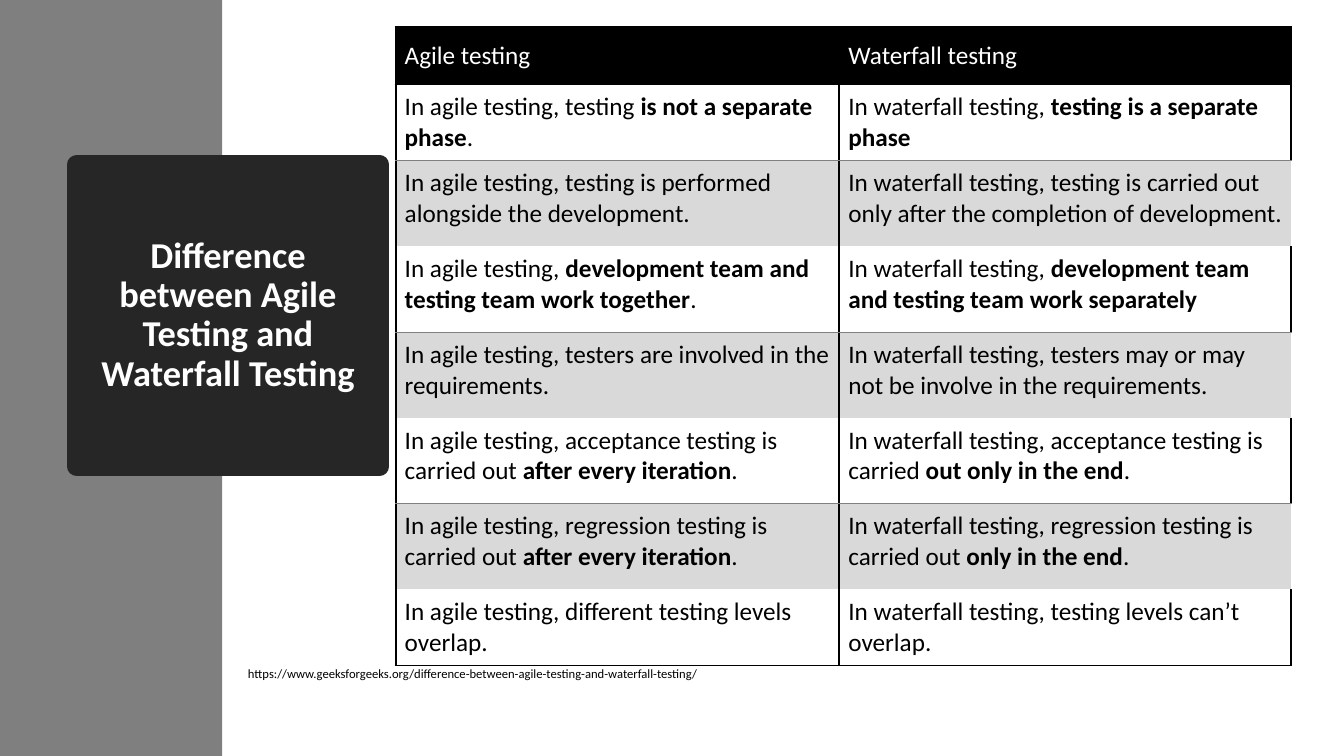
import lxml.etree
import pptx
import pptx.dml.color
import pptx.enum.shapes
import pptx.enum.text
import pptx.oxml.ns
import pptx.util

Cm = pptx.util.Cm
Pt = pptx.util.Pt
qn = pptx.oxml.ns.qn
PP_ALIGN = pptx.enum.text.PP_ALIGN
ANCHOR = pptx.enum.text.MSO_ANCHOR

HEADINGS = ("Agile testing", "Waterfall testing")
DIFFERENCES = [
    ("In agile testing, testing **is not a separate phase**.",
     "In waterfall testing, **testing is a separate phase**"),
    ("In agile testing, testing is performed alongside the development.",
     "In waterfall testing, testing is carried out only after the completion of development."),
    ("In agile testing, **development team and testing team work together**.",
     "In waterfall testing, **development team and testing team work separately**"),
    ("In agile testing, testers are involved in the requirements.",
     "In waterfall testing, testers may or may not be involve in the requirements."),
    ("In agile testing, acceptance testing is carried out **after every iteration**.",
     "In waterfall testing, acceptance testing is carried **out only in the end**."),
    ("In agile testing, regression testing is carried out **after every iteration**.",
     "In waterfall testing, regression testing is carried out **only in the end**."),
    ("In agile testing, different testing levels overlap.",
     "In waterfall testing, testing levels can’t overlap."),
]
COLUMN_WIDTHS = (11.18, 11.38)
ROW_HEIGHTS = (1.44, 1.92, 2.16, 2.16, 2.16, 2.16, 2.16, 1.92)


def colour(code):
    return pptx.dml.color.RGBColor.from_string(code)


class ComparisonSlide:
    font = "Calibri"
    black = "000000"
    white = "FFFFFF"
    grey = "7F7F7F"
    charcoal = "262626"
    band = "D9D9D9"
    rule = "808080"

    def __init__(self, presentation):
        self.slide = presentation.slides.add_slide(presentation.slide_layouts[6])

    def wording(self, paragraph, text, size, code, bold=False):
        for index, part in enumerate(text.split("**")):
            if part:
                run = paragraph.add_run()
                run.text = part
                run.font.name = self.font
                run.font.size = Pt(size)
                run.font.bold = bold or index % 2 == 1
                run.font.color.rgb = colour(code)

    def panel(self, left, top, width, height, fill, outline=0):
        shape = self.slide.shapes.add_shape(
            pptx.enum.shapes.MSO_SHAPE.RECTANGLE, Cm(left), Cm(top), Cm(width), Cm(height))
        shape.shadow.inherit = False
        shape.fill.solid()
        shape.fill.fore_color.rgb = colour(fill)
        if outline:
            shape.line.color.rgb = colour(fill)
            shape.line.width = Pt(outline)
            stroke = shape.element.spPr.find(qn("a:ln"))
            lxml.etree.SubElement(stroke, qn("a:round"))
        else:
            shape.line.fill.background()
        return shape

    def title(self, text, left, top, side):
        frame = self.panel(left, top, side, side, self.charcoal, 13.75).text_frame
        frame.word_wrap = True
        frame.vertical_anchor = ANCHOR.MIDDLE
        frame.margin_left = frame.margin_right = Cm(0.5)
        paragraph = frame.paragraphs[0]
        paragraph.alignment = PP_ALIGN.CENTER
        paragraph.line_spacing = 0.9
        self.wording(paragraph, text, 26, self.white, True)

    def source(self, text, left, top, width, height):
        frame = self.slide.shapes.add_textbox(Cm(left), Cm(top), Cm(width), Cm(height)).text_frame
        frame.word_wrap = True
        paragraph = frame.paragraphs[0]
        paragraph.line_spacing = 0.9
        paragraph.space_after = Pt(6)
        self.wording(paragraph, text, 9, self.black)

    def border(self, cell, side, style):
        line = lxml.etree.SubElement(cell._tc.get_or_add_tcPr(), qn(f"a:ln{side}"))
        if style is None:
            lxml.etree.SubElement(line, qn("a:noFill"))
            return
        code, width = style
        line.set("w", str(Pt(width)))
        fill = lxml.etree.SubElement(line, qn("a:solidFill"))
        lxml.etree.SubElement(fill, qn("a:srgbClr")).set("val", code)

    def cell(self, cell, text, row, column, last_row):
        header = row == 0
        banded = not header and row % 2 == 0
        strong, thin = (self.black, 1.5), (self.rule, 0.5)
        edges = {
            "L": strong,
            "R": None if banded and column == 1 else strong,
            "T": strong if row < 2 else thin if banded else None,
            "B": strong if row in (0, last_row) else None if banded else thin,
        }
        for side, style in edges.items():
            self.border(cell, side, style)
        cell.fill.solid()
        cell.fill.fore_color.rgb = colour(
            self.black if header else self.band if banded else self.white)
        cell.margin_left, cell.margin_right = Cm(0.23), Cm(0.15)
        cell.margin_top = cell.margin_bottom = Cm(0.18)
        cell.vertical_anchor = ANCHOR.MIDDLE if header else ANCHOR.TOP
        self.wording(cell.text_frame.paragraphs[0], text, 18,
                     self.white if header else self.black)

    def comparison(self, rows, left, top):
        table = self.slide.shapes.add_table(
            len(rows), len(COLUMN_WIDTHS), Cm(left), Cm(top),
            Cm(sum(COLUMN_WIDTHS)), Cm(sum(ROW_HEIGHTS))).table
        for column, width in zip(table.columns, COLUMN_WIDTHS):
            column.width = Cm(width)
        for row, height in zip(table.rows, ROW_HEIGHTS):
            row.height = Cm(height)
        for row, texts in enumerate(rows):
            for column, text in enumerate(texts):
                self.cell(table.cell(row, column), text, row, column, len(rows) - 1)


def main():
    presentation = pptx.Presentation()
    presentation.slide_width = Cm(33.87)
    presentation.slide_height = Cm(19.05)
    page = ComparisonSlide(presentation)
    page.panel(0, 0, 5.6, 19.05, page.grey)
    page.title("Difference between Agile Testing and Waterfall Testing", 1.94, 4.14, 7.62)
    page.source(
        "https://www.geeksforgeeks.org/difference-between-agile-testing-and-waterfall-testing/",
        6, 16.7, 19.96, 2.3)
    page.comparison([HEADINGS, *DIFFERENCES], 9.97, 0.69)
    presentation.save("out.pptx")


if __name__ == "__main__":
    main()
